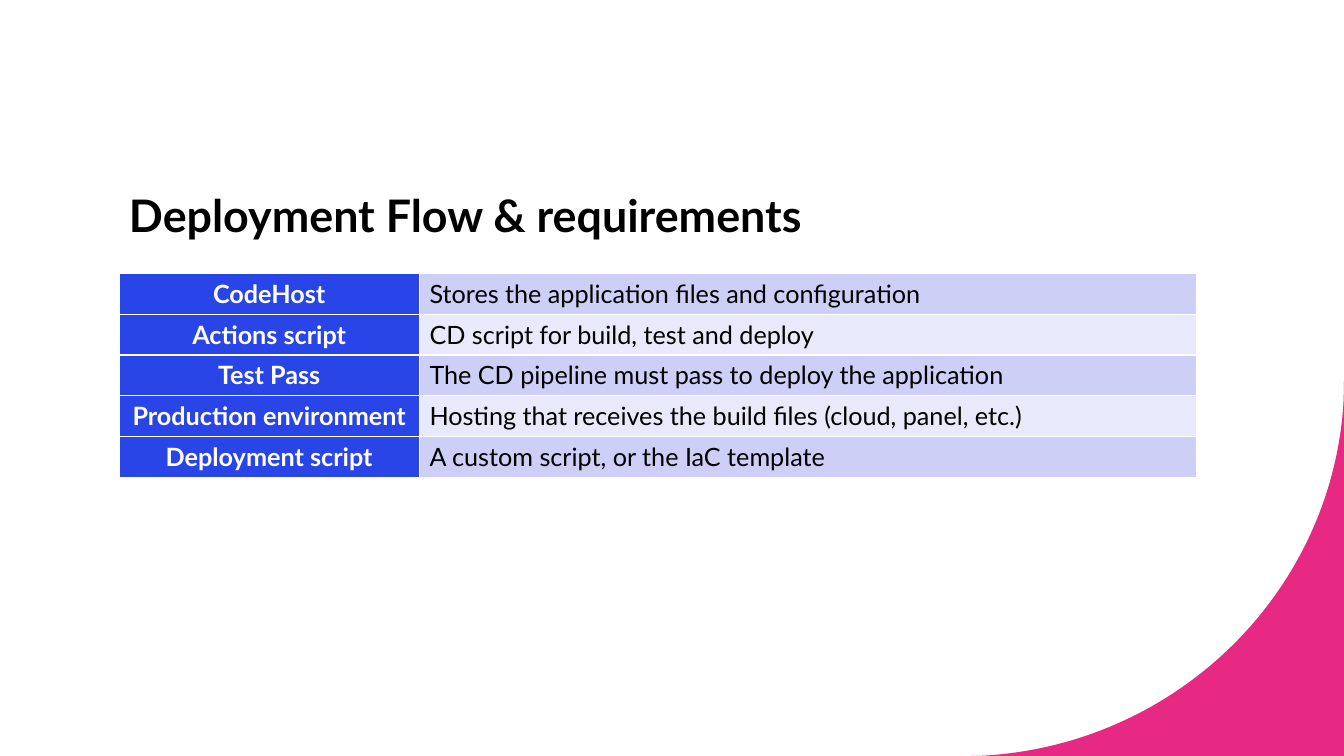
from dataclasses import dataclass

from lxml import etree
from pptx import Presentation
from pptx.dml.color import RGBColor
from pptx.enum.text import MSO_ANCHOR, PP_ALIGN
from pptx.oxml.ns import qn
from pptx.util import Pt

BOTTOM = MSO_ANCHOR.BOTTOM
CENTER, LEFT = PP_ALIGN.CENTER, PP_ALIGN.LEFT


@dataclass(frozen=True)
class Theme:
    """Colours, font and type sizes of the slide."""
    font: str = "Lato"
    title_size: int = 32
    table_size: int = 18
    black: str = "000000"
    white: str = "FFFFFF"
    pink: str = "E72984"
    blue: str = "2945E7"
    bands: tuple = ("CDCFF6", "E8E9FA")


THEME = Theme()
SLIDE_WIDTH, SLIDE_HEIGHT = 960, 540

REQUIREMENTS = [
    ("CodeHost", "Stores the application files and configuration"),
    ("Actions script", "CD script for build, test and deploy"),
    ("Test Pass", "The CD pipeline must pass to deploy the application"),
    ("Production environment",
     "Hosting that receives the build files (cloud, panel, etc.)"),
    ("Deployment script", "A custom script, or the IaC template"),
]


def style_font(font, size, color, bold):
    """Apply the theme font with a size, colour and weight."""
    font.name = THEME.font
    font.size = Pt(size)
    font.bold = bold
    font.color.rgb = RGBColor.from_string(color)


def bezier(start, control_1, control_2, end, steps=60):
    """Return evenly stepped points along a cubic curve."""
    points = []
    for step in range(steps + 1):
        t = step / steps
        u = 1 - t
        weights = (u ** 3, 3 * u * u * t, 3 * u * t * t, t ** 3)
        corners = (start, control_1, control_2, end)
        points.append(tuple(
            sum(weight * corner[axis] for weight, corner in zip(weights, corners))
            for axis in (0, 1)))
    return points


def add_corner(page):
    """Draw the curved pink corner at the bottom right."""
    curve = bezier((699, 540), (840.2, 533.5), (952.6, 422.6), (959.8, 285))
    outline = [(SLIDE_WIDTH, 272), (SLIDE_WIDTH, SLIDE_HEIGHT),
               (693.4, SLIDE_HEIGHT)] + curve
    points = [(Pt(x), Pt(y)) for x, y in outline]
    builder = page.shapes.build_freeform(*points[0])
    builder.add_line_segments(points[1:], close=True)
    corner = builder.convert_to_shape()
    corner.shadow.inherit = False
    corner.fill.solid()
    corner.fill.fore_color.rgb = RGBColor.from_string(THEME.pink)
    corner.line.fill.background()


def add_title(page, text):
    """Add the bottom-anchored slide title."""
    box = page.shapes.add_textbox(Pt(85), Pt(57), Pt(783), Pt(119))
    frame = box.text_frame
    frame.word_wrap = True
    frame.vertical_anchor = BOTTOM
    para = frame.paragraphs[0]
    para.text = text
    para.line_spacing = 1.1
    style_font(para.font, THEME.title_size, THEME.black, True)


def add_borders(cell, color, width):
    """Give a cell the same solid line on all four sides."""
    properties = cell._tc.get_or_add_tcPr()
    for index, side in enumerate(("a:lnL", "a:lnR", "a:lnT", "a:lnB")):
        line = etree.Element(qn(side), w=str(Pt(width)))
        fill = etree.SubElement(line, qn("a:solidFill"))
        etree.SubElement(fill, qn("a:srgbClr"), val=color)
        properties.insert(index, line)


def fill_cell(cell, text, fill, color, bold, alignment):
    """Write and format one table cell."""
    cell.fill.solid()
    cell.fill.fore_color.rgb = RGBColor.from_string(fill)
    add_borders(cell, THEME.white, 1)
    para = cell.text_frame.paragraphs[0]
    para.text = text
    para.alignment = alignment
    style_font(para.font, THEME.table_size, color, bold)


def add_requirements(page, rows):
    """Add the table of labels and banded descriptions."""
    widths, row_height = (214.6, 555), 29.1
    table = page.shapes.add_table(
        len(rows), len(widths), Pt(85), Pt(195.4),
        Pt(sum(widths)), Pt(row_height * len(rows))).table
    table.first_row = False
    table.horz_banding = False
    for column, width in zip(table.columns, widths):
        column.width = Pt(width)
    for index, (label, description) in enumerate(rows):
        table.rows[index].height = Pt(row_height)
        band = THEME.bands[index % len(THEME.bands)]
        fill_cell(table.cell(index, 0), label, THEME.blue, THEME.white, True, CENTER)
        fill_cell(table.cell(index, 1), description, band, THEME.black, False, LEFT)


def main():
    """Build the slide and save it."""
    deck = Presentation()
    deck.slide_width, deck.slide_height = Pt(SLIDE_WIDTH), Pt(SLIDE_HEIGHT)
    page = deck.slides.add_slide(deck.slide_layouts[6])
    add_corner(page)
    add_title(page, "Deployment Flow & requirements")
    add_requirements(page, REQUIREMENTS)
    deck.save("out.pptx")


main()
